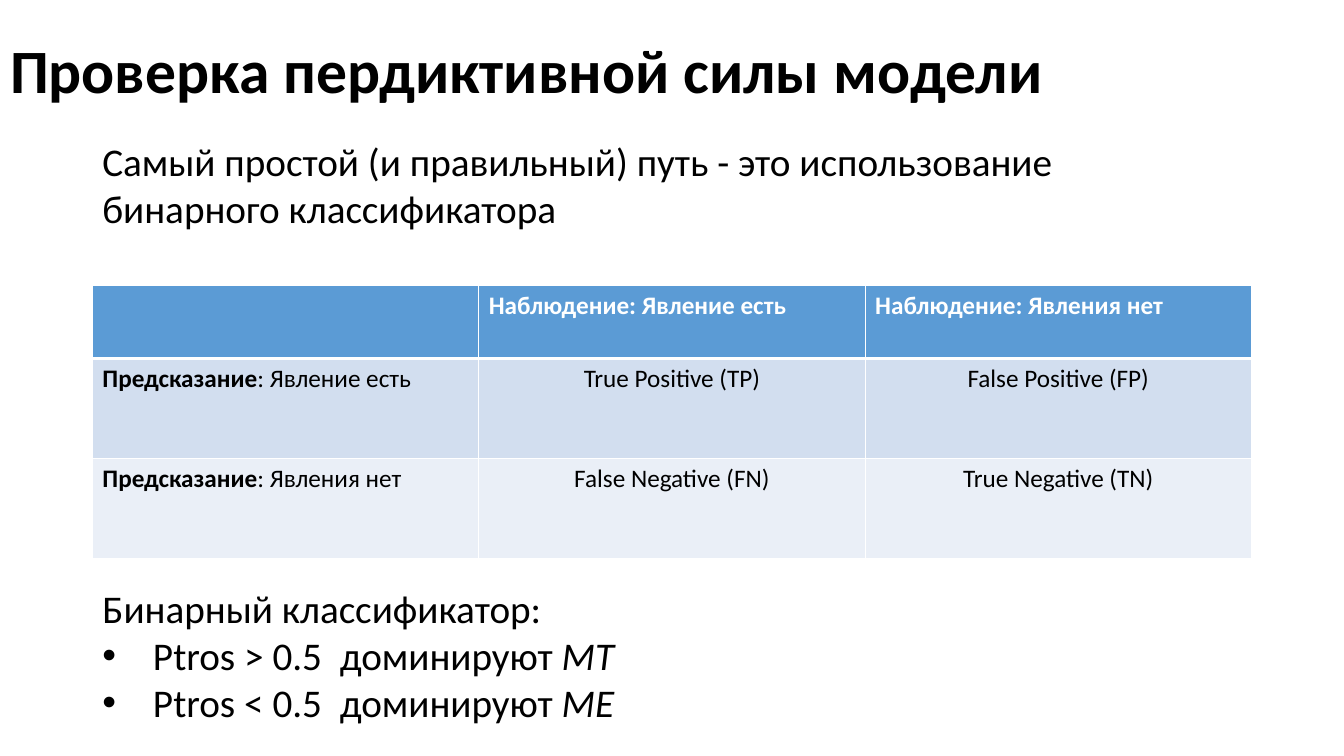
from dataclasses import dataclass

from lxml import etree
from pptx import Presentation
from pptx.dml.color import RGBColor
from pptx.enum.text import MSO_ANCHOR, MSO_AUTO_SIZE, PP_ALIGN
from pptx.oxml.ns import qn
from pptx.util import Pt

LEFT, CENTER = PP_ALIGN.LEFT, PP_ALIGN.CENTER
TOP, MIDDLE = MSO_ANCHOR.TOP, MSO_ANCHOR.MIDDLE
NO_FIT = MSO_AUTO_SIZE.NONE


@dataclass(frozen=True)
class Theme:
    font: str = "Calibri"
    text: str = "000000"
    white: str = "FFFFFF"
    header: str = "5B9BD5"
    bands: tuple = ("D2DEEF", "EAEFF7")
    title_size: int = 44
    body_size: int = 28
    cell_size: int = 18


THEME = Theme()
INDENT = 36
MARGIN = 66
TITLE_BOX = (0, 0, 828, 104.4)
INTRO_BOX = (MARGIN, 94.5, 769, 75)
TABLE_BOX = (MARGIN, 204, 828, 195)
RULE_BOX = (MARGIN, 413.5, 769, 109)
HEADER_HEIGHT = 52

INTRO = "Самый простой (и правильный) путь - это использование бинарного классификатора"
HEADINGS = ("", "Наблюдение: Явление есть", "Наблюдение: Явления нет")
OUTCOMES = (
    (": Явление есть", "True Positive (TP)", "False Positive (FP)"),
    (": Явления нет", "False Negative (FN)", "True Negative (TN)"),
)
RULES = (("Ptros > 0.5  доминируют ", "MT"), ("Ptros < 0.5  доминируют ", "ME"))


def add_run(p, text, size, color=THEME.text, bold=False, italic=False):
    r = p.add_run()
    r.text = text
    r.font.name = THEME.font
    r.font.size = Pt(size)
    r.font.bold = bold
    r.font.italic = italic
    r.font.color.rgb = RGBColor.from_string(color)


def place(sp, box, anchor):
    sp.left, sp.top, sp.width, sp.height = map(Pt, box)
    tf = sp.text_frame
    tf.word_wrap = True
    tf.auto_size = NO_FIT
    tf.vertical_anchor = anchor
    return tf


def format_paragraph(p, bullet=False, spacing=1.0):
    p.alignment = LEFT
    p.line_spacing = spacing
    p.space_before = p.space_after = Pt(0)
    pPr = p._p.get_or_add_pPr()
    indent = Pt(INDENT) if bullet else 0
    pPr.set("marL", str(indent))
    pPr.set("indent", str(-indent))
    if bullet:
        etree.SubElement(pPr, qn("a:buFont"), typeface="Arial")
        etree.SubElement(pPr, qn("a:buChar"), char="•")
    else:
        etree.SubElement(pPr, qn("a:buNone"))


def add_title(s, box):
    p = place(s.shapes.title, box, MIDDLE).paragraphs[0]
    format_paragraph(p, spacing=0.9)
    add_run(p, "Проверка пердиктивной силы модели", THEME.title_size, bold=True)


def add_intro(s, box):
    sp = s.shapes.add_textbox(*map(Pt, box))
    p = place(sp, box, TOP).paragraphs[0]
    format_paragraph(p)
    add_run(p, INTRO, THEME.body_size)


def add_rules(s, box):
    tf = place(s.placeholders[1], box, TOP)
    p = tf.paragraphs[0]
    format_paragraph(p)
    add_run(p, "Бинарный классификатор:", THEME.body_size)
    for condition, winner in RULES:
        p = tf.add_paragraph()
        format_paragraph(p, bullet=True)
        add_run(p, condition, THEME.body_size)
        add_run(p, winner, THEME.body_size, italic=True)


def style_cell(cell, fill, bottom=1, top=1):
    cell.fill.solid()
    cell.fill.fore_color.rgb = RGBColor.from_string(fill)
    tcPr = cell._tc.get_or_add_tcPr()
    widths = {"a:lnL": 1, "a:lnR": 1, "a:lnT": top, "a:lnB": bottom}
    for i, (tag, width) in enumerate(widths.items()):
        ln = etree.Element(qn(tag), w=str(Pt(width)))
        solid = etree.SubElement(ln, qn("a:solidFill"))
        etree.SubElement(solid, qn("a:srgbClr"), val=THEME.white)
        tcPr.insert(i, ln)


def add_confusion_table(s, box):
    left, top, width, height = box
    n_rows, n_cols = len(OUTCOMES) + 1, len(HEADINGS)
    table = s.shapes.add_table(n_rows, n_cols, *map(Pt, box)).table
    for col in table.columns:
        col.width = Pt(width / n_cols)
    for i, row in enumerate(table.rows):
        row.height = Pt((height - HEADER_HEIGHT) / len(OUTCOMES) if i else HEADER_HEIGHT)
    for j, heading in enumerate(HEADINGS):
        cell = table.cell(0, j)
        style_cell(cell, THEME.header, bottom=3)
        if heading:
            add_run(cell.text_frame.paragraphs[0], heading, THEME.cell_size, THEME.white, bold=True)
    for i, (row, fill) in enumerate(zip(OUTCOMES, THEME.bands), 1):
        for j, text in enumerate(row):
            cell = table.cell(i, j)
            style_cell(cell, fill, top=3 if i == 1 else 1)
            p = cell.text_frame.paragraphs[0]
            if j:
                p.alignment = CENTER
            else:
                add_run(p, "Предсказание", THEME.cell_size, bold=True)
            add_run(p, text, THEME.cell_size)


def main():
    prs = Presentation()
    prs.slide_width, prs.slide_height = Pt(960), Pt(540)
    s = prs.slides.add_slide(prs.slide_layouts[1])
    add_title(s, TITLE_BOX)
    add_confusion_table(s, TABLE_BOX)
    add_intro(s, INTRO_BOX)
    add_rules(s, RULE_BOX)
    prs.save("out.pptx")


if __name__ == "__main__":
    main()
